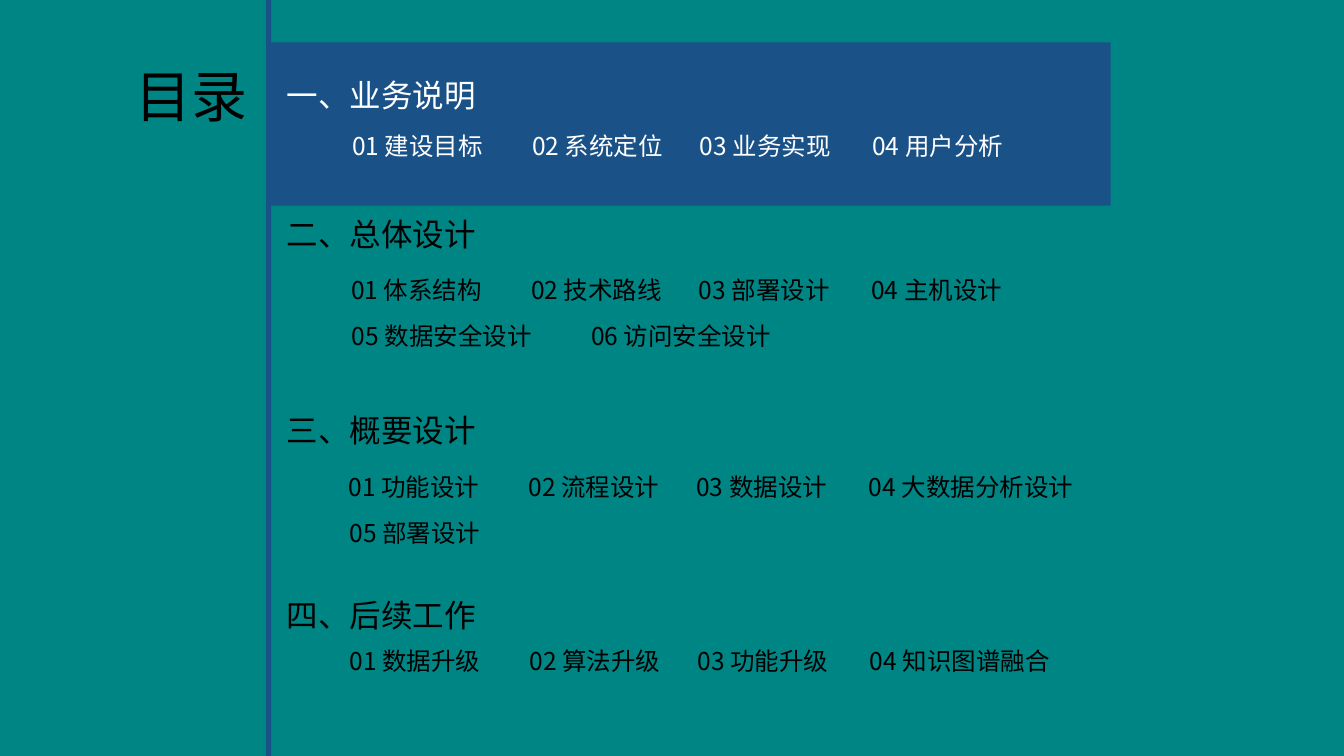
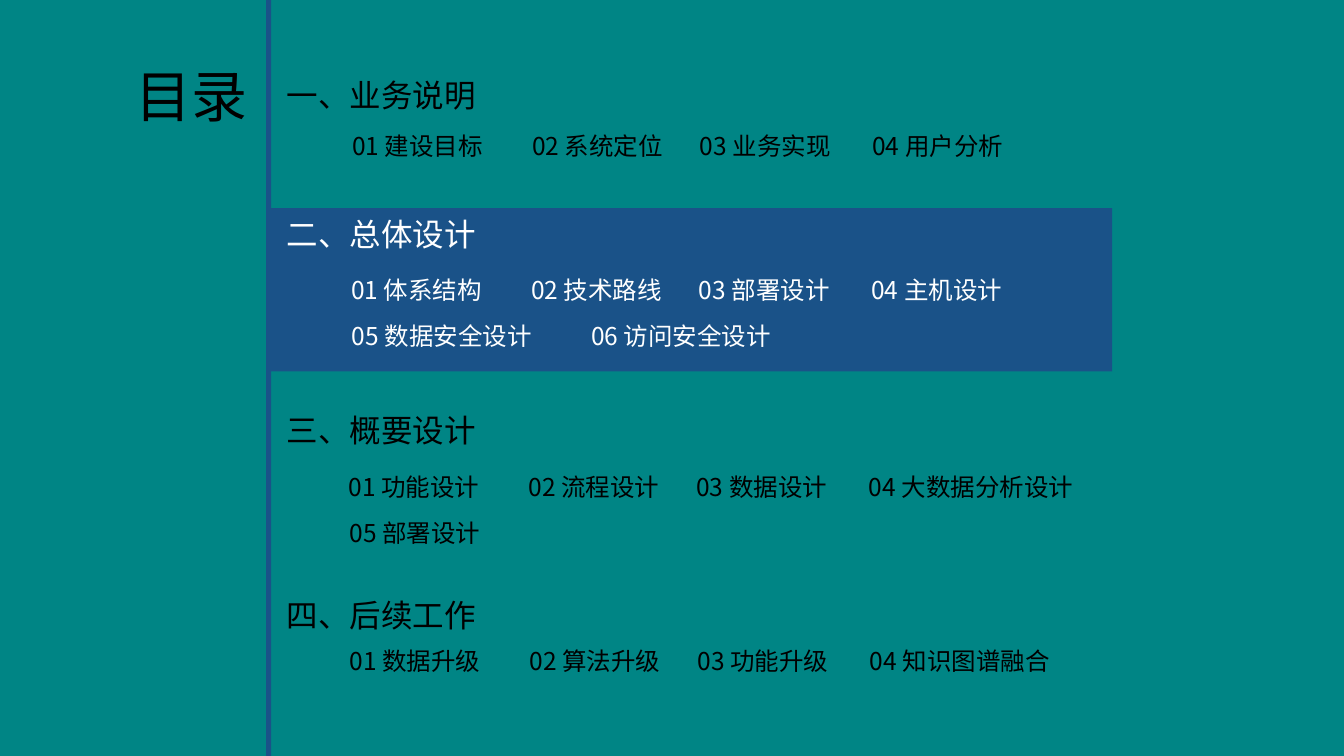
from dataclasses import dataclass

import pptx
import pptx.dml.color
import pptx.enum.shapes
import pptx.enum.text
import pptx.oxml
import pptx.oxml.ns
import pptx.util

COLORS = {"background": "008585", "accent": "1A5288", "plain": "000000", "active": "FFFFFF"}
HEADING_FONT = "Comic Neue"
ITEM_FONT = "Noto Sans CJK SC"

SLIDE_WIDTH = pptx.util.Inches(26.67)
SLIDE_HEIGHT = pptx.util.Inches(15)
GRID = 100
INSET = pptx.util.Inches(0.06)

ITEM_OFFSETS = (0, 13.39, 25.87, 38.7)
WRAPPED_OFFSETS = (0, 17.81)
ITEM_WIDTHS = (16.8, 16.8, 16.8, 16.8)
NARROW_SECOND = (16.8, 12.5, 16.8, 16.8)
WIDE_LAST = (16.8, 16.8, 16.8, 18.26)
ITEM_HEIGHT = 5.27


@dataclass(frozen=True)
class Area:
    left: float
    top: float
    width: float
    height: float

    def lengths(self) -> tuple[int, int, int, int]:
        return (
            round(self.left * SLIDE_WIDTH / GRID),
            round(self.top * SLIDE_HEIGHT / GRID),
            round(self.width * SLIDE_WIDTH / GRID),
            round(self.height * SLIDE_HEIGHT / GRID),
        )


@dataclass(frozen=True)
class TextStyle:
    font: str
    size: int
    centered: bool = False


@dataclass(frozen=True)
class ItemRow:
    left: float
    top: float
    labels: tuple[str, ...]
    offsets: tuple[float, ...] = ITEM_OFFSETS
    widths: tuple[float, ...] = ITEM_WIDTHS


@dataclass(frozen=True)
class Section:
    heading: str
    top: float
    rows: tuple[ItemRow, ...]


@dataclass(frozen=True)
class Agenda:
    active: int
    band: Area


TITLE_STYLE = TextStyle(HEADING_FONT, 80, centered=True)
HEADING_STYLE = TextStyle(HEADING_FONT, 45)
ITEM_STYLE = TextStyle(ITEM_FONT, 35)
TITLE_AREA = Area(9.71, 7, 9.15, 11.13)
DIVIDER_AREA = Area(19.8, 0, 0.37, GRID)

SECTIONS = (
    Section("一、业务说明", 9.27, (
        ItemRow(25.98, 16.6, ("建设目标", "系统定位", "业务实现", "用户分析")),
    )),
    Section("二、总体设计", 27.67, (
        ItemRow(25.91, 35.67, ("体系结构", "技术路线", "部署设计", "主机设计"),
                widths=NARROW_SECOND),
        ItemRow(25.95, 41.8, ("数据安全设计", "访问安全设计"), WRAPPED_OFFSETS),
    )),
    Section("三、概要设计", 53.6, (
        ItemRow(25.72, 61.73, ("功能设计", "流程设计", "数据设计", "大数据分析设计"),
                widths=WIDE_LAST),
        ItemRow(25.8, 67.8, ("部署设计",)),
    )),
    Section("四、后续工作", 78, (
        ItemRow(25.8, 84.73, ("数据升级", "算法升级", "功能升级", "知识图谱融合"),
                widths=WIDE_LAST),
    )),
)

AGENDAS = (
    Agenda(0, Area(19.8, 5.6, 62.84, 21.6)),
    Agenda(1, Area(19.91, 27.53, 62.84, 21.6)),
)


def color(name: str) -> pptx.dml.color.RGBColor:
    return pptx.dml.color.RGBColor.from_string(COLORS[name])


def draw_block(page: pptx.slide.Slide, area: Area) -> None:
    block = page.shapes.add_shape(pptx.enum.shapes.MSO_SHAPE.RECTANGLE, *area.lengths())
    block.shadow.inherit = False
    block.fill.solid()
    block.fill.fore_color.rgb = color("accent")
    block.line.fill.background()


def write_text(box, text: str, style: TextStyle, color_name: str) -> None:
    frame = box.text_frame
    frame.text = text
    frame.word_wrap = True
    frame.auto_size = pptx.enum.text.MSO_AUTO_SIZE.SHAPE_TO_FIT_TEXT
    frame.vertical_anchor = pptx.enum.text.MSO_ANCHOR.MIDDLE
    frame.margin_left = frame.margin_right = INSET
    frame.margin_top = frame.margin_bottom = INSET
    para = frame.paragraphs[0]
    alignments = pptx.enum.text.PP_ALIGN
    para.alignment = alignments.CENTER if style.centered else alignments.LEFT
    span = para.runs[0]
    span.font.size = pptx.util.Pt(style.size)
    span.font.color.rgb = color(color_name)
    span.font.name = style.font
    east_asian = pptx.oxml.parse_xml(
        f'<a:ea {pptx.oxml.ns.nsdecls("a")} typeface="{style.font}"/>'
    )
    span.font._element.find(pptx.oxml.ns.qn("a:latin")).addnext(east_asian)


def draw_label(page: pptx.slide.Slide, area: Area, text: str,
               style: TextStyle, color_name: str) -> None:
    write_text(page.shapes.add_textbox(*area.lengths()), text, style, color_name)


def draw_title(page: pptx.slide.Slide) -> None:
    title = page.shapes.title
    title.left, title.top, title.width, title.height = TITLE_AREA.lengths()
    write_text(title, "目录", TITLE_STYLE, "plain")


def draw_section(page: pptx.slide.Slide, section: Section, color_name: str) -> None:
    draw_label(page, Area(21.11, section.top, 17.25, 6.6),
               section.heading, HEADING_STYLE, color_name)
    number = 0
    for row in section.rows:
        for label, offset, width in zip(row.labels, row.offsets, row.widths):
            number += 1
            area = Area(row.left + offset, row.top, width, ITEM_HEIGHT)
            draw_label(page, area, f"{number:02d} {label}", ITEM_STYLE, color_name)


def draw_agenda(deck, agenda: Agenda) -> None:
    page = deck.slides.add_slide(deck.slide_layouts.get_by_name("Title Only"))
    draw_block(page, agenda.band)
    draw_block(page, DIVIDER_AREA)
    draw_title(page)
    for index, section in enumerate(SECTIONS):
        draw_section(page, section, "active" if index == agenda.active else "plain")


def main() -> None:
    deck = pptx.Presentation()
    deck.slide_width = SLIDE_WIDTH
    deck.slide_height = SLIDE_HEIGHT
    backdrop = deck.slide_master.background.fill
    backdrop.solid()
    backdrop.fore_color.rgb = color("background")
    for agenda in AGENDAS:
        draw_agenda(deck, agenda)
    deck.save("out.pptx")


if __name__ == "__main__":
    main()
